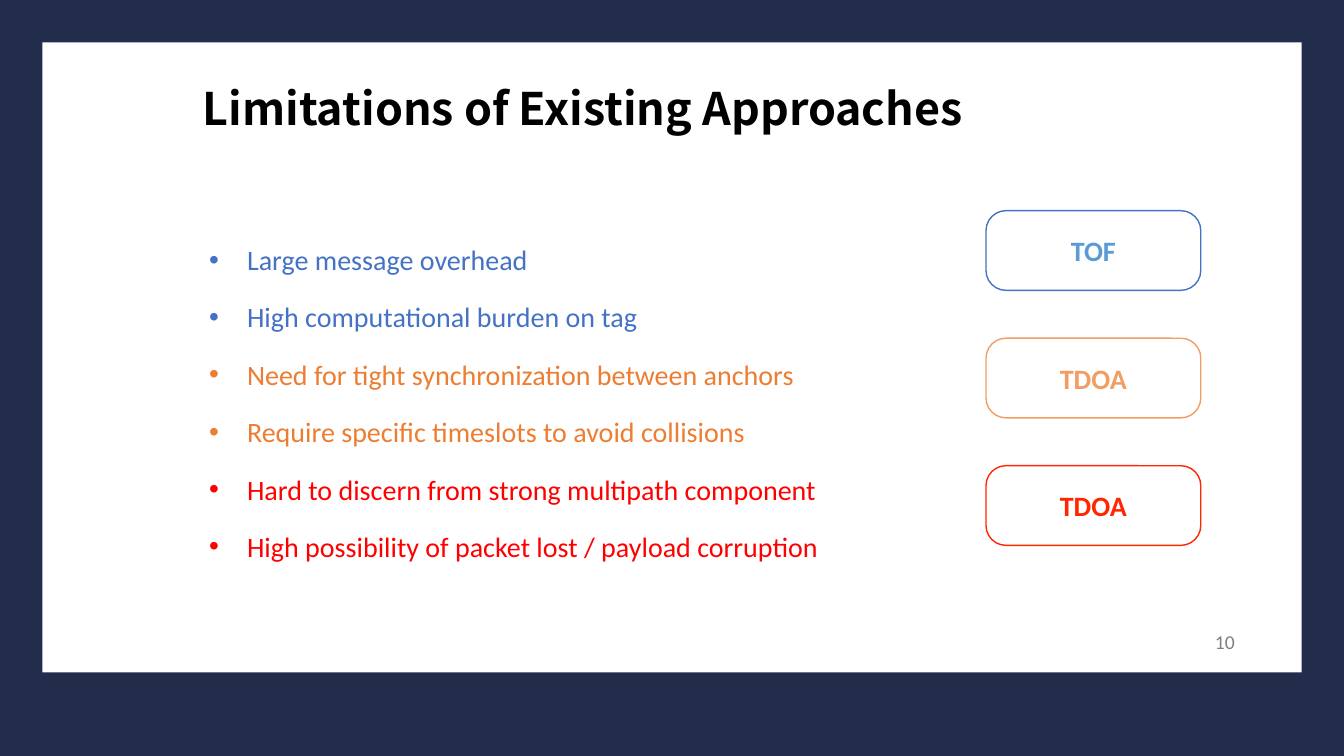
from dataclasses import dataclass

from pptx import Presentation
from pptx.dml.color import RGBColor
from pptx.enum.shapes import MSO_SHAPE as Shape
from pptx.enum.text import MSO_ANCHOR as Anchor, MSO_AUTO_SIZE as AutoSize, PP_ALIGN as Align
from pptx.util import Inches, Pt


@dataclass(frozen=True)
class Theme:
    heading_font: str = "Noto Sans CJK SC"
    body_font: str = "Calibri"
    title_size: int = 32
    text_size: int = 20
    number_size: int = 14
    navy: str = "222C4B"
    white: str = "FFFFFF"
    black: str = "000000"
    grey: str = "808080"
    blue: str = "4472C4"
    light_blue: str = "5B9BD5"
    orange: str = "ED7D31"
    light_orange: str = "F19D64"
    red: str = "FF0000"
    bright_red: str = "FF2600"


THEME = Theme()
WIDTH, HEIGHT = 13.33, 7.5

TITLE = "Limitations of Existing Approaches"
PAGE_NUMBER = "10"
LIMITATIONS = [
    ("Large message overhead", THEME.blue),
    ("High computational burden on tag", THEME.blue),
    ("Need for tight synchronization between anchors", THEME.orange),
    ("Require specific timeslots to avoid collisions", THEME.orange),
    ("Hard to discern from strong multipath component", THEME.red),
    ("High possibility of packet lost / payload corruption", THEME.red),
]
# label, outline colour, text colour
APPROACHES = [
    ("TOF", THEME.blue, THEME.light_blue),
    ("TDOA", THEME.light_orange, THEME.light_orange),
    ("TDOA", THEME.bright_red, THEME.bright_red),
]

BORDER, BOTTOM_BORDER = 0.42, 0.83
FRAME_BARS = [
    (0, 0, WIDTH, BORDER),
    (0, HEIGHT - BOTTOM_BORDER, WIDTH, BOTTOM_BORDER),
    (0, 0, BORDER, HEIGHT),
    (WIDTH - BORDER, 0, BORDER, HEIGHT),
]
APPROACH_LEFT, APPROACH_TOP, APPROACH_STEP = 9.78, 2.09, 1.265
APPROACH_SIZE = (2.13, 0.79)


def set_all(target, values):
    for name, value in values.items():
        setattr(target, name, value)


def place(shape, left, top, width, height):
    box = {"left": left, "top": top, "width": width, "height": height}
    set_all(shape, {side: Inches(length) for side, length in box.items()})


def prepare_frame(shape, anchor=Anchor.TOP):
    frame = shape.text_frame
    margins = ("margin_left", "margin_top", "margin_right", "margin_bottom")
    set_all(frame, dict.fromkeys(margins, Inches(0.05)))
    set_all(frame, {"word_wrap": True, "auto_size": AutoSize.NONE, "vertical_anchor": anchor})
    return frame


def write(paragraph, text, color, size=THEME.text_size, font=THEME.body_font,
          bold=False, **layout):
    """Fill a paragraph with one run; layout holds paragraph properties."""
    set_all(paragraph, layout)
    run = paragraph.add_run()
    run.text = text
    set_all(run.font, {"name": font, "size": Pt(size), "bold": bold})
    run.font.color.rgb = RGBColor.from_string(color)


def add_filled(slide, preset, box, fill, outline=None):
    shape = slide.shapes.add_shape(preset, *map(Inches, box))
    shape.shadow.inherit = False
    shape.fill.solid()
    shape.fill.fore_color.rgb = RGBColor.from_string(fill)
    if outline:
        shape.line.color.rgb = RGBColor.from_string(outline)
        shape.line.width = Pt(1)
    else:
        shape.line.fill.background()
    return shape


def add_title(slide):
    title = slide.shapes.title
    place(title, 1.96, 0.81, 10.75, 0.63)
    write(prepare_frame(title).paragraphs[0], TITLE, THEME.black, THEME.title_size,
          THEME.heading_font, True, alignment=Align.LEFT, line_spacing=0.9, space_before=Pt(0))


def add_limitations(slide):
    body = slide.placeholders[1]
    place(body, 1.65, 2.19, 10.03, 3.64)
    frame = prepare_frame(body)
    for index, (limitation, color) in enumerate(LIMITATIONS):
        paragraph = frame.add_paragraph() if index else frame.paragraphs[0]
        properties = paragraph._p.get_or_add_pPr()
        properties.set("marL", str(Inches(0.75)))
        properties.set("indent", str(Inches(-0.375)))
        write(paragraph, limitation, color, line_spacing=1.5,
              space_before=Pt(5 if index else 0))


def add_approaches(slide):
    for index, (label, outline, color) in enumerate(APPROACHES):
        top = APPROACH_TOP + index * APPROACH_STEP
        approach = add_filled(slide, Shape.ROUNDED_RECTANGLE,
                              (APPROACH_LEFT, top, *APPROACH_SIZE), THEME.white, outline)
        approach.adjustments[0] = 0.25
        write(prepare_frame(approach, Anchor.MIDDLE).paragraphs[0], label, color,
              bold=True, alignment=Align.CENTER)


def add_page_number(slide):
    number = slide.shapes.add_textbox(*map(Inches, (12, 6.2, 0.41, 0.32)))
    write(prepare_frame(number).paragraphs[0], PAGE_NUMBER, THEME.grey, THEME.number_size)


def main():
    deck = Presentation()
    deck.slide_width, deck.slide_height = Inches(WIDTH), Inches(HEIGHT)
    slide = deck.slides.add_slide(deck.slide_layouts[1])
    for bar in FRAME_BARS:
        add_filled(slide, Shape.RECTANGLE, bar, THEME.navy)
    add_title(slide)
    add_limitations(slide)
    add_approaches(slide)
    add_page_number(slide)
    deck.save("out.pptx")


if __name__ == "__main__":
    main()
